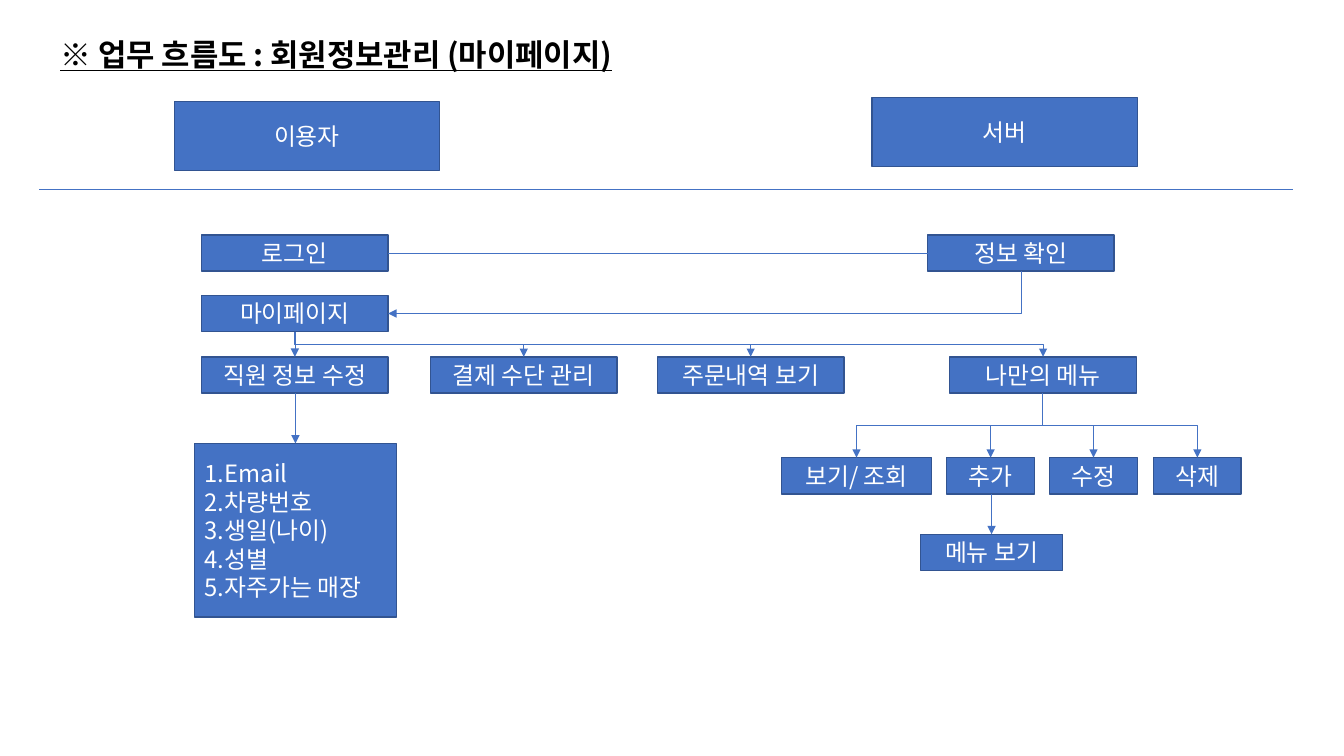
import pptx
import pptx.util
import pptx.dml.color
import pptx.enum.shapes
import pptx.enum.text
import pptx.oxml.ns
import pptx.oxml.xmlchemy

Inches = pptx.util.Inches
Pt = pptx.util.Pt
RGBColor = pptx.dml.color.RGBColor
Kind = pptx.enum.shapes.MSO_CONNECTOR
Align = pptx.enum.text.PP_ALIGN
Anchor = pptx.enum.text.MSO_ANCHOR
qn = pptx.oxml.ns.qn

BLUE = RGBColor(0x44, 0x72, 0xC4)
NAVY = RGBColor(0x32, 0x54, 0x91)
WHITE = RGBColor(255, 255, 255)
BLACK = RGBColor(0, 0, 0)
FACE = "Noto Sans CJK KR"
HEAD = {"name": FACE, "size": Pt(22), "bold": True, "underline": True}
TEXT = {"name": FACE, "size": Pt(17)}
FRAME = {"word_wrap": True, "auto_size": pptx.enum.text.MSO_AUTO_SIZE.NONE}
TALL = 0.36
WIDE = 1.85


def add_xml(parent, tag, **attrs):
    """Append a drawing element with the given attributes."""
    child = pptx.oxml.xmlchemy.OxmlElement(tag)
    for key, value in attrs.items():
        child.set(key, value)
    parent.append(child)


def place(shape, box):
    """Move a shape to a box given in inches."""
    for key, value in zip(("left", "top", "width", "height"), box):
        setattr(shape, key, Inches(value))


def write(shape, lines, form, color, align, anchor):
    """Fill a shape with formatted paragraphs."""
    frame = shape.text_frame
    frame.text = "\n".join(lines)
    for key, value in {**FRAME, "vertical_anchor": anchor}.items():
        setattr(frame, key, value)
    for para in frame.paragraphs:
        para.alignment = align
        for run in para.runs:
            for key, value in form.items():
                setattr(run.font, key, value)
            run.font.color.rgb = color
            add_xml(run.font._element, "a:ea", typeface=FACE)


def paint(shape):
    """Give a box its fill and border."""
    shape.fill.solid()
    shape.fill.fore_color.rgb = BLUE
    shape.line.color.rgb = NAVY
    shape.line.width = Pt(1)


def node(slide, text, box):
    """Draw one labelled box."""
    shape = slide.shapes.add_shape(
        pptx.enum.shapes.MSO_SHAPE.RECTANGLE, *map(Inches, box))
    shape.shadow.inherit = False
    paint(shape)
    write(shape, [text], TEXT, WHITE, Align.CENTER, Anchor.MIDDLE)


def link(slide, start, end, arrow=True, corner=False):
    """Join two points, leaving downwards when they are offset."""
    (x1, y1), (x2, y2) = start, end
    bent = x1 != x2 and y1 != y2
    if bent:
        mid_x, mid_y = (x1 + x2) / 2, (y1 + y2) / 2
        half_w, half_h = (y2 - y1) / 2, abs(x2 - x1) / 2
        side = -1 if x2 > x1 else 1
        x1, x2 = mid_x - side * half_w, mid_x + side * half_w
        y1, y2 = mid_y - half_h, mid_y + half_h
    line = slide.shapes.add_connector(
        Kind.ELBOW if bent else Kind.STRAIGHT, *map(Inches, (x1, y1, x2, y2)))
    line.line.color.rgb = BLUE
    line.line.width = Pt(0.5)
    props = line._element.spPr
    if bent:
        props.find(qn("a:xfrm")).set("rot", str(side * 5400000 % 21600000))
    if corner:
        props.find(qn("a:prstGeom")).set("prst", "bentConnector2")
    if arrow:
        add_xml(props.find(qn("a:ln")), "a:tailEnd", type="triangle")
    add_xml(props, "a:effectLst")


def title(slide, box):
    """Set the heading."""
    shape = slide.shapes.title
    place(shape, box)
    write(shape, ["※ 업무 흐름도 : 회원정보관리 (마이페이지)"],
          HEAD, BLACK, Align.LEFT, Anchor.TOP)
    shape.text_frame.paragraphs[0].line_spacing = Pt(26.4)


def lanes(slide, box):
    """Draw the two lane heads and the rule below them."""
    left, top, width, height = box
    node(slide, "이용자", (left + 1.34, top + 0.04, 2.63, 0.68))
    node(slide, "서버", (left + 8.26, top, 2.63, 0.68))
    base = top + height
    link(slide, (left, base), (left + width, base), arrow=False)


def login(slide, box):
    """Draw the login exchange that leads to the member page."""
    left, top, width, height = box
    right, low = left + width - WIDE, top + height - TALL
    node(slide, "로그인", (left, top, WIDE, TALL))
    node(slide, "정보 확인", (right, top, WIDE, TALL))
    node(slide, "마이페이지", (left, low, WIDE, TALL))
    mid = top + TALL / 2
    link(slide, (left + WIDE, mid), (right, mid), arrow=False)
    link(slide, (right + WIDE / 2, top + TALL),
         (left + WIDE, low + TALL / 2), corner=True)


def fan(slide, box, root, items):
    """Draw a row of boxes at the foot of a region, fed from one point."""
    left, top, width, height = box
    row = top + height - TALL
    for text, shift, size in items:
        node(slide, text, (left + shift, row, size, TALL))
        link(slide, (left + root, top), (left + shift + size / 2, row))


def detail(slide, box):
    """Draw the list of editable fields and the arrow into it."""
    left, top, width, height = box
    shape = slide.placeholders[1]
    place(shape, (left, top + 0.5, width, height - 0.5))
    paint(shape)
    write(shape, ["1.Email", "2.차량번호", "3.생일(나이)", "4.성별",
                  "5.자주가는 매장"], TEXT, WHITE, Align.LEFT, Anchor.MIDDLE)
    for para in shape.text_frame.paragraphs:
        para.space_before = Pt(0)
        para.line_spacing = Pt(20.4)
        props = para._element.get_or_add_pPr()
        props.set("marL", "0")
        props.set("indent", "0")
        add_xml(props, "a:buNone")
    mid = left + width / 2
    link(slide, (mid, top), (mid, top + 0.5))


def main():
    """Build and save the flow chart."""
    deck = pptx.Presentation()
    deck.slide_width, deck.slide_height = Inches(13.33), Inches(7.5)
    slide = deck.slides.add_slide(deck.slide_layouts[1])
    title(slide, (0.5, 0.3, 6.23, 0.47))
    lanes(slide, (0.39, 0.97, 12.43, 0.91))
    login(slide, (2, 2.33, 9.05, 0.96))
    fan(slide, (2, 3.29, 9.27, 0.61), WIDE / 2,
        [("직원 정보 수정", 0, WIDE), ("결제 수단 관리", 2.27, WIDE),
         ("주문내역 보기", 4.52, WIDE), ("나만의 메뉴", 7.42, WIDE)])
    detail(slide, (1.93, 3.9, 2, 2.22))
    fan(slide, (7.75, 3.9, 4.56, 1), 2.59,
        [("보기/ 조회", 0, 1.49), ("추가", 1.64, 0.87),
         ("수정", 2.66, 0.87), ("삭제", 3.69, 0.87)])
    fan(slide, (9.13, 4.9, 1.41, 0.76), 1.41 / 2, [("메뉴 보기", 0, 1.41)])
    deck.save("out.pptx")


if __name__ == "__main__":
    main()
